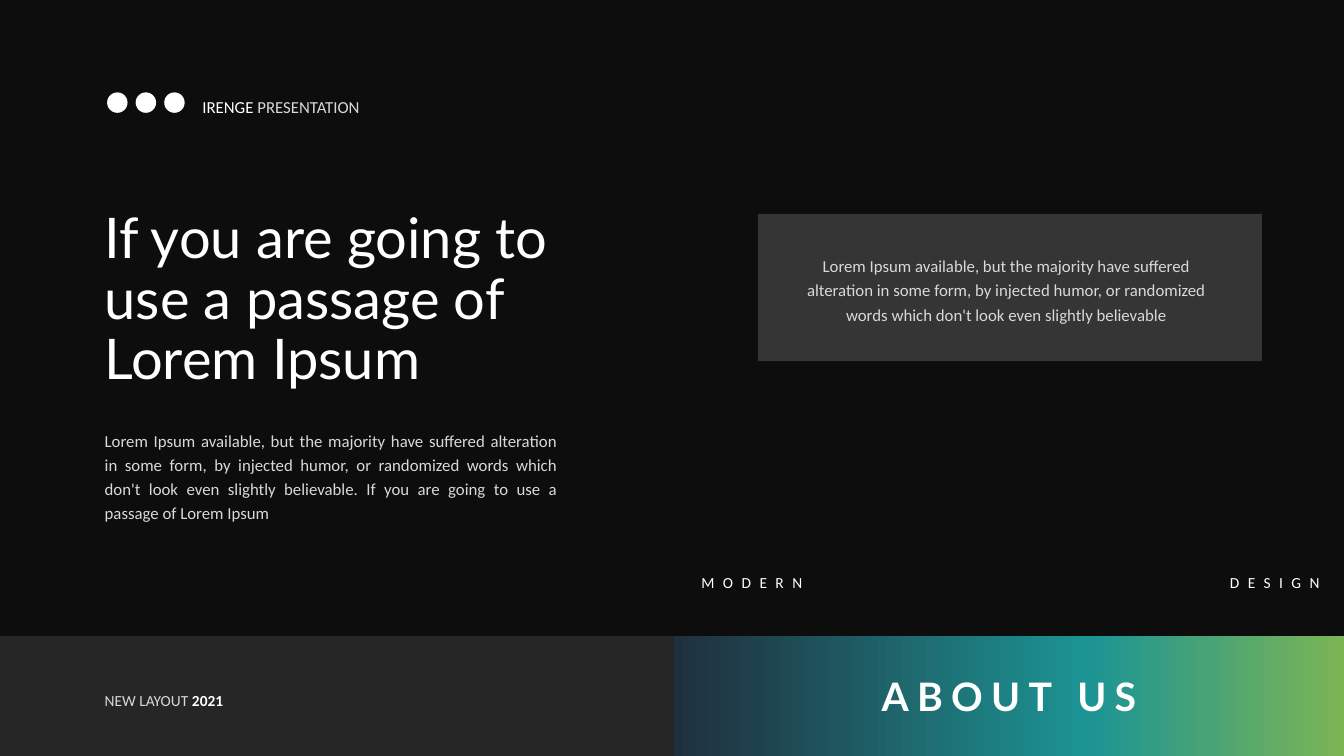
from copy import deepcopy

from pptx import Presentation
from pptx import util as u
from pptx.dml.color import RGBColor
from pptx.enum import shapes, text
from pptx.oxml.ns import qn
from lxml import etree

Pt = u.Pt
ALIGN = text.PP_ALIGN
WHITE, PALE, CHARCOAL, BLACK = "FFFFFF", "D9D9D9", "262626", "0D0D0D"
DEFAULT_INSETS = (7.2, 3.6, 7.2, 3.6)
BODY_INSETS = (7.2, 3.6, 11.5, 2.9)
LOREM = ("Lorem Ipsum available, but the majority have suffered alteration in some form, "
         "by injected humor, or randomized words which don't look even slightly believable")

deck = Presentation()
deck.slide_width, deck.slide_height = Pt(960), Pt(540)
page = deck.slides.add_slide(deck.slide_layouts[6])
rgb = RGBColor.from_string
page.background.fill.solid()
page.background.fill.fore_color.rgb = rgb(BLACK)


def add_block(kind, left, top, width, height, color):
    """Add a borderless, shadowless shape with a solid fill."""
    block = page.shapes.add_shape(kind, Pt(left), Pt(top), Pt(width), Pt(height))
    block.shadow.inherit = False
    block.line.fill.background()
    block.fill.solid()
    block.fill.fore_color.rgb = rgb(color)
    return block


def add_text(left, top, width, height, spans, size, font="Calibri", align=ALIGN.LEFT,
             line_spacing=1.0, insets=DEFAULT_INSETS, tracking=0):
    """Add one paragraph; spans are (words, color, bold), tracking is in points."""
    box = page.shapes.add_textbox(Pt(left), Pt(top), Pt(width), Pt(height))
    frame = box.text_frame
    frame.word_wrap = True
    frame.auto_size = text.MSO_AUTO_SIZE.SHAPE_TO_FIT_TEXT
    (frame.margin_left, frame.margin_top,
     frame.margin_right, frame.margin_bottom) = map(Pt, insets)
    para = frame.paragraphs[0]
    para.alignment = align
    para.line_spacing = line_spacing
    para.font.size = Pt(size)
    para.font.name = font
    for words, color, bold in spans:
        span = para.add_run()
        span.text = words
        span.font.color.rgb = rgb(color)
        span.font.bold = bold
        if tracking:
            span._r.get_or_add_rPr().set("spc", str(tracking * 100))


# Header
for column in range(3):
    add_block(shapes.MSO_SHAPE.OVAL, 76.5 + 20.4 * column, 66, 14.6, 14.6, WHITE)
add_text(137.5, 58.3, 150.5, 28, [("IRENGE", WHITE, False), (" PRESENTATION", PALE, False)],
         12, align=ALIGN.JUSTIFY, line_spacing=1.5, insets=BODY_INSETS)

# Title and body
add_text(67.7, 146.9, 343.4, 138.2,
         [("If you are going to use a passage of Lorem Ipsum", WHITE, False)],
         40, font="Lato", line_spacing=0.9)
add_text(67.7, 301, 342, 76.3,
         [(LOREM + ". If you are going to use a passage of Lorem Ipsum", PALE, False)],
         12, align=ALIGN.JUSTIFY, line_spacing=1.2, insets=BODY_INSETS)

# Translucent quote panel
panel = add_block(shapes.MSO_SHAPE.RECTANGLE, 541.4, 152.7, 360, 105.3, PALE)
panel_color = panel._element.spPr.find(".//" + qn("a:srgbClr"))
etree.SubElement(panel_color, qn("a:alpha")).set("val", "20000")
add_text(558.7, 176.4, 324.7, 59, [(LOREM, PALE, False)],
         12, align=ALIGN.CENTER, line_spacing=1.2, insets=BODY_INSETS)

# Spaced labels
for label, left, align in (("MODERN", 493.9, ALIGN.LEFT), ("DESIGN", 845.3, ALIGN.RIGHT)):
    add_text(left, 406.1, 104.4, 20.9, [(label, WHITE, False)], 11, align=align, tracking=6)

# Footer
add_block(shapes.MSO_SHAPE.RECTANGLE, 0, 454.3, 481.5, 85.7, CHARCOAL)
add_text(67.7, 483.8, 126, 26.6, [("NEW LAYOUT ", PALE, False), ("2021", WHITE, True)],
         11, align=ALIGN.JUSTIFY, line_spacing=1.5, insets=BODY_INSETS)

banner = add_block(shapes.MSO_SHAPE.RECTANGLE, 481.5, 454.3, 478.5, 85.7, CHARCOAL)
banner.fill.gradient()
banner.fill.gradient_angle = 0
stop_list = banner._element.spPr.find(".//" + qn("a:gsLst"))
stop_list.insert(1, deepcopy(stop_list[0]))
banner_stops = ((0, "202F3D"), (0.62, "1C9494"), (1, "7CB554"))
for stop, (position, color) in zip(banner.fill.gradient_stops, banner_stops):
    stop.position = position
    stop.color.rgb = rgb(color)
add_text(609.1, 476.6, 223.2, 41, [("ABOUT US", WHITE, True)],
         28, font="Lato", align=ALIGN.CENTER, tracking=6)

deck.save("out.pptx")
